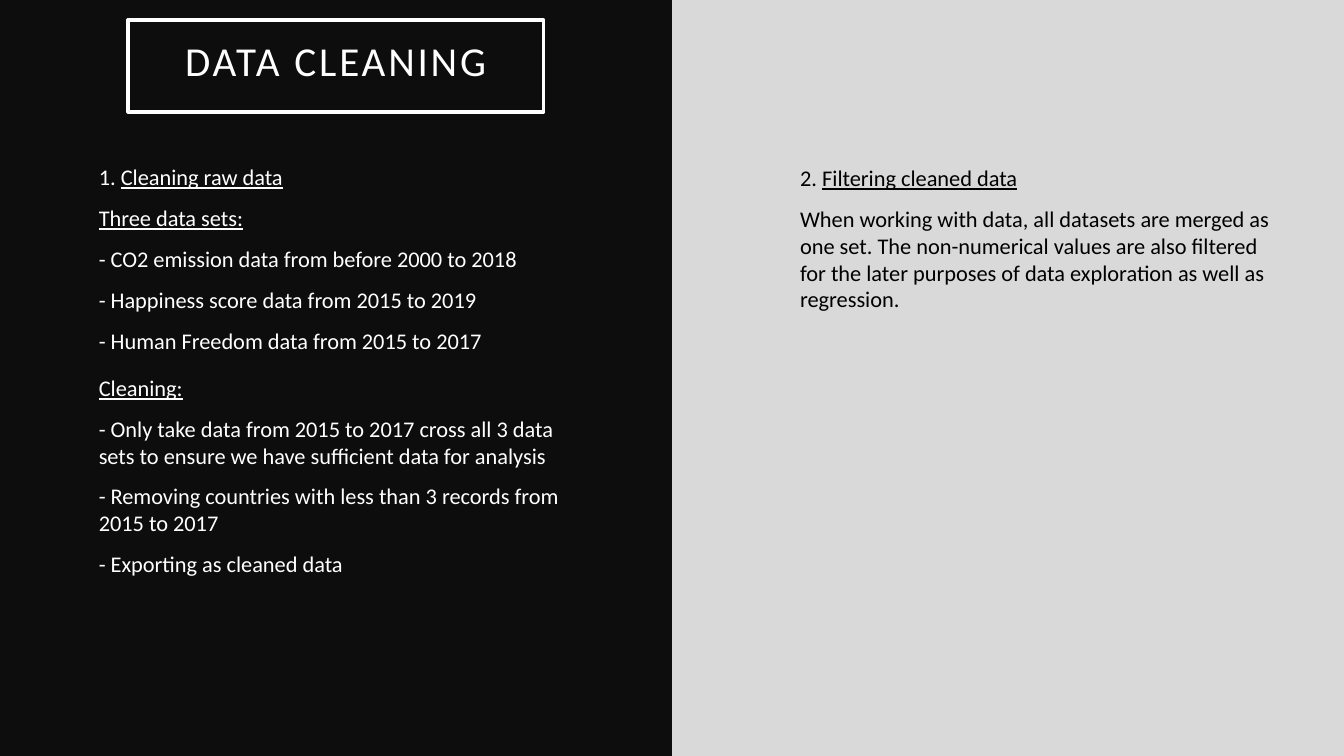
import dataclasses

import pptx
import pptx.dml.color
import pptx.enum.shapes
import pptx.enum.text
import pptx.util

Cm = pptx.util.Cm
Pt = pptx.util.Pt
Color = pptx.dml.color.RGBColor.from_string


@dataclasses.dataclass(frozen=True)
class Theme:
    font: str = "Calibri"
    dark: str = "0D0D0D"
    pale: str = "D9D9D9"
    white: str = "FFFFFF"
    black: str = "000000"
    head: float = 29.4
    body: float = 16
    gap: float = 10
    rule: float = 2.5


theme = Theme()

RAW = [
    [("1. ", False), ("Cleaning raw data", True)],
    [("Three data sets:", True)],
    [("- CO2 emission data from before 2000 to 2018", False)],
    [("- Happiness score data from 2015 to 2019", False)],
    [("- Human Freedom data from 2015 to 2017", False)],
]
STEPS = [
    [("Cleaning:", True)],
    [("- Only take data from 2015 to 2017 cross all 3 data sets "
      "to ensure we have sufficient data for analysis", False)],
    [("- Removing countries with less than 3 records from 2015 to 2017", False)],
    [("- Exporting as cleaned data", False)],
]
FILTER = [
    [("2. ", False), ("Filtering cleaned data", True)],
    [("When working with data, all datasets are merged as one set. "
      "The non-numerical values are also filtered for the later purposes "
      "of data exploration as well as regression.", False)],
]


def apply(item, form):
    for name, value in form.items():
        setattr(item, name, value)


def add_run(para, text, size, color, line=False):
    run = para.add_run()
    run.text = text
    apply(run.font, {"name": theme.font, "size": Pt(size), "underline": line})
    run.font.color.rgb = Color(color)
    return run


def add_rect(slide, box):
    kind = pptx.enum.shapes.MSO_SHAPE.RECTANGLE
    rect = slide.shapes.add_shape(kind, *map(Cm, box))
    rect.shadow.inherit = False
    return rect


def add_panel(slide, box):
    panel = add_rect(slide, box)
    panel.fill.solid()
    panel.fill.fore_color.rgb = Color(theme.dark)
    panel.line.fill.background()


def add_title(slide, box, text):
    title = add_rect(slide, box)
    title.fill.background()
    title.line.color.rgb = Color(theme.white)
    title.line.width = Pt(theme.rule)
    sides = ("left", "top", "right", "bottom")
    frame = title.text_frame
    apply(frame, {f"margin_{side}": Cm(0.51) for side in sides})
    apply(frame, {"word_wrap": True,
                  "vertical_anchor": pptx.enum.text.MSO_ANCHOR.MIDDLE})
    para = frame.paragraphs[0]
    apply(para, {"alignment": pptx.enum.text.PP_ALIGN.CENTER,
                 "line_spacing": 0.7})
    run = add_run(para, text, theme.head, theme.white)
    run.font._element.set("spc", "200")


def add_notes(slide, box, paras, color):
    frame = slide.shapes.add_textbox(*map(Cm, box)).text_frame
    frame.word_wrap = True
    for place, parts in enumerate(paras):
        para = frame.add_paragraph() if place else frame.paragraphs[0]
        para.space_before = Pt(theme.gap)
        for text, line in parts:
            add_run(para, text, theme.body, color, line)


def add_left(slide, box):
    left, top, width, height = box
    add_panel(slide, box)
    add_title(slide, (left + 3.23, top + 0.5, 10.47, 2.32), "DATA CLEANING")
    add_notes(slide, (left + 2.24, top + 3.99, 12.47, 5.31), RAW, theme.white)
    add_notes(slide, (left + 2.24, top + 9.3, 12.47, 5.59), STEPS, theme.white)


def add_right(slide, box):
    left, top, width, height = box
    add_notes(slide, (left + 2.98, top + 4.01, 12.47, 5.31), FILTER, theme.black)


def main():
    deck = pptx.Presentation()
    wide, high = 33.87, 19.05
    apply(deck, {"slide_width": Cm(wide), "slide_height": Cm(high)})
    slide = deck.slides.add_slide(deck.slide_layouts[6])
    slide.background.fill.solid()
    slide.background.fill.fore_color.rgb = Color(theme.pale)
    half = wide / 2
    add_left(slide, (0, 0, half, high))
    add_right(slide, (half, 0, half, high))
    deck.save("out.pptx")


if __name__ == "__main__":
    main()
